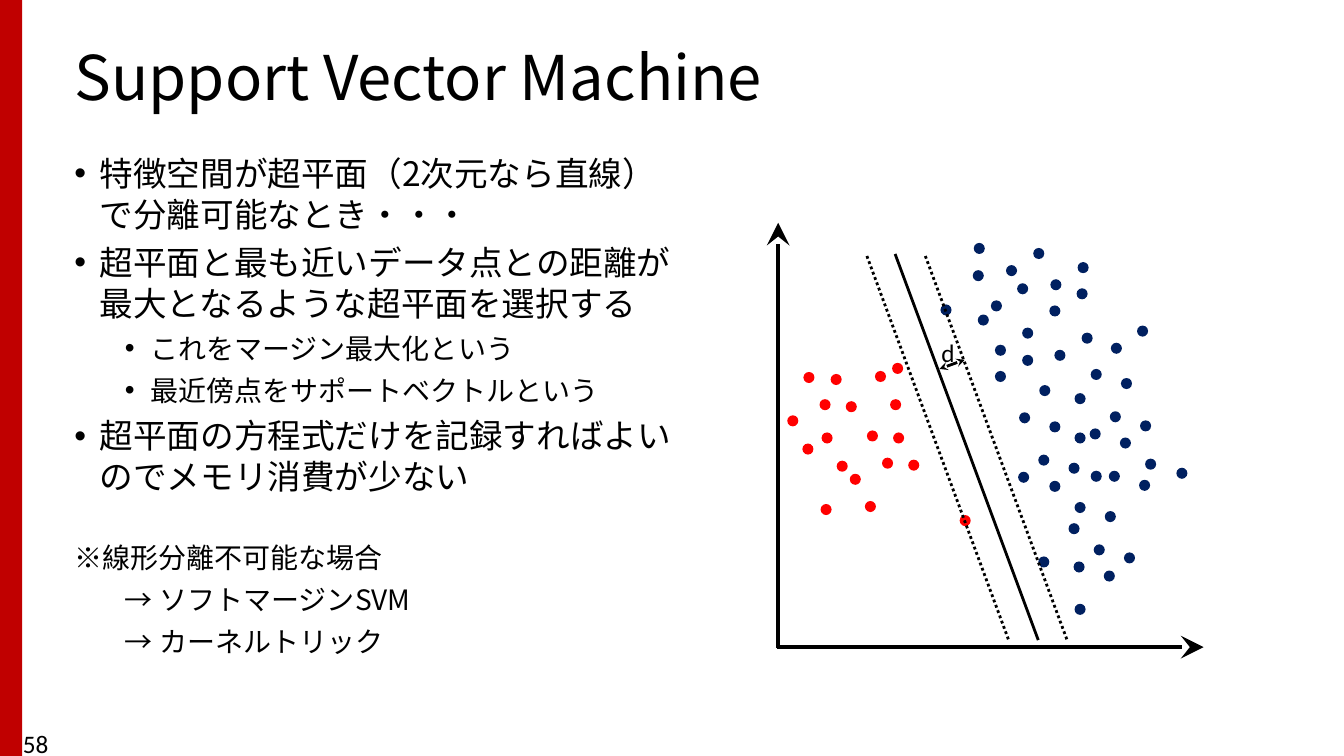
from lxml import etree
from pptx import Presentation
from pptx.dml.color import RGBColor
from pptx.enum.dml import MSO_LINE
from pptx.enum.shapes import MSO_CONNECTOR, MSO_SHAPE
from pptx.enum.text import MSO_ANCHOR, MSO_AUTO_SIZE, PP_ALIGN
from pptx.oxml.ns import qn
from pptx.util import Inches, Pt

OVAL, RECTANGLE = MSO_SHAPE.OVAL, MSO_SHAPE.RECTANGLE
STRAIGHT = MSO_CONNECTOR.STRAIGHT
DOTTED = MSO_LINE.ROUND_DOT
TOP, MIDDLE = MSO_ANCHOR.TOP, MSO_ANCHOR.MIDDLE
LEFT = PP_ALIGN.LEFT
NO_FIT = MSO_AUTO_SIZE.NONE

CELL = Inches(0.1)
COLUMNS, ROWS = 133.33, 75
COLORS = {"text": "000000", "bar": "C00000", "negative": "FF0000", "positive": "002060"}
JAPANESE, LATIN = "Noto Sans CJK JP", "Calibri"
DOT_SIZE = 1.1

POINTS = [
    ("特徴空間が超平面（2次元なら直線）で分離可能なとき・・・", 24, 0.25, True, 0),
    ("超平面と最も近いデータ点との距離が最大となるような超平面を選択する", 24, 0.25, True, 6),
    ("これをマージン最大化という", 20, 0.75, True, 6),
    ("最近傍点をサポートベクトルという", 20, 0.75, True, 6),
    ("超平面の方程式だけを記録すればよいのでメモリ消費が少ない", 24, 0.25, True, 6),
    ("※線形分離不可能な場合", 20, 0, False, 31.5),
    ("→ ソフトマージンSVM", 20, 0.5, False, 6),
    ("→ カーネルトリック", 20, 0.5, False, 6),
]

SAMPLES = {
    "negative": [
        (81.5, 42.9), (83, 45.7), (81.4, 50), (79.7, 36.9), (81.3, 39.6),
        (78.1, 41.2), (79.6, 44), (82.4, 37.1), (83.9, 39.8), (86, 42.7),
        (87.5, 45.4), (88.5, 36), (95.2, 51.1), (84.3, 47), (85.8, 49.7),
        (88.6, 42.9), (90.1, 45.6), (86.8, 36.8), (88.3, 39.6),
    ],
    "positive": [
        (106, 45.9), (103, 45.1), (106, 51.9), (104.1, 41.8), (101.1, 40.9),
        (104.1, 47.7), (101, 46.8), (111.5, 54.8), (108.5, 54), (109.6, 50.7),
        (106.6, 49.8), (109.5, 56.6), (106.5, 55.7), (103, 55.2), (106.6, 59.9),
        (93.3, 30.2), (96.6, 24.1), (100.9, 28.1), (98.3, 29.8), (96.5, 26.8),
        (106.9, 26), (104.2, 27.7), (102.5, 24.6), (99.8, 26.3), (106.8, 28.6),
        (104.1, 30.3), (101.4, 32.5), (98.7, 34.2), (106.6, 42.9), (103.1, 38.2),
        (97, 31.2), (101.4, 35.2), (98.7, 36.8), (107.3, 33), (104.6, 34.7),
        (113.1, 41.7), (110.1, 40.8), (113, 47.6), (110, 46.7), (111.2, 37.5),
        (108.2, 36.6), (111.1, 43.4), (108.1, 42.5), (116.7, 46.4), (113.6, 45.5),
        (108.2, 46.7), (112.8, 32.3), (110.2, 34), (106.6, 39),
    ],
}


class SlideBuilder:
    def __init__(self, slide):
        self.slide = slide

    def cells(self, *counts):
        return [round(count * CELL) for count in counts]

    def color(self, name):
        return RGBColor.from_string(COLORS[name])

    def run(self, paragraph, text, size, typeface):
        run = paragraph.add_run()
        run.text = text
        run.font.size = Pt(size)
        run.font.name = typeface
        run.font.color.rgb = self.color("text")
        east_asian = etree.SubElement(run.font._element, qn("a:ea"))
        east_asian.set("typeface", typeface)

    def title(self, text, column, row, width, height):
        heading = self.slide.shapes.title
        heading.left, heading.top, heading.width, heading.height = self.cells(
            column, row, width, height)
        frame = heading.text_frame
        frame.auto_size = NO_FIT
        frame.vertical_anchor = MIDDLE
        paragraph = frame.paragraphs[0]
        paragraph.alignment = LEFT
        paragraph.line_spacing = 0.9
        self.run(paragraph, text, 44, JAPANESE)

    def frame(self, column, row, width, height, wrap=True):
        box = self.slide.shapes.add_textbox(*self.cells(column, row, width, height))
        box.text_frame.word_wrap = wrap
        box.text_frame.vertical_anchor = TOP
        return box.text_frame

    def label(self, text, column, row, width, height, wrap=True):
        frame = self.frame(column, row, width, height, wrap)
        self.run(frame.paragraphs[0], text, 18, LATIN)

    def outline(self, points, column, row, width, height):
        frame = self.frame(column, row, width, height)
        for index, (text, size, margin, bulleted, before) in enumerate(points):
            paragraph = frame.add_paragraph() if index else frame.paragraphs[0]
            paragraph.space_before = Pt(before)
            properties = paragraph._p.get_or_add_pPr()
            properties.set("marL", str(Inches(margin)))
            properties.set("indent", str(Inches(-0.25 if bulleted else 0)))
            if bulleted:
                etree.SubElement(properties, qn("a:buFont")).set("typeface", "Arial")
                etree.SubElement(properties, qn("a:buChar")).set("char", "•")
            else:
                etree.SubElement(properties, qn("a:buNone"))
            self.run(paragraph, text, size, JAPANESE)

    def shape(self, kind, color, column, row, width, height):
        shape = self.slide.shapes.add_shape(kind, *self.cells(column, row, width, height))
        shape.shadow.inherit = False
        shape.fill.solid()
        shape.fill.fore_color.rgb = self.color(color)
        shape.line.fill.background()

    def line(self, start, end, width=2, dash=None, arrows=(), arrow_size="med"):
        connector = self.slide.shapes.add_connector(STRAIGHT, *self.cells(*start, *end))
        connector.line.color.rgb = self.color("text")
        connector.line.width = Pt(width)
        if dash:
            connector.line.dash_style = dash
        stroke = connector.line._get_or_add_ln()
        for arrow in arrows:
            head = etree.SubElement(stroke, qn(f"a:{arrow}"))
            head.set("type", "stealth")
            head.set("w", arrow_size)
            head.set("len", arrow_size)
        etree.SubElement(connector._element.spPr, qn("a:effectLst"))


def main():
    presentation = Presentation()
    presentation.slide_width = round(COLUMNS * CELL)
    presentation.slide_height = ROWS * CELL
    title_only = presentation.slide_layouts[5]
    page = SlideBuilder(presentation.slides.add_slide(title_only))

    page.shape(RECTANGLE, "bar", 0, 0, 2.2, ROWS)
    page.title("Support Vector Machine", 6.4, 4, 117.6, 8)
    page.outline(POINTS, 6.4, 14.7, 62.9, 60.3)

    for axis_start, axis_end in (((77.1, 64.2), (119.4, 64.2)), ((77.2, 64.3), (77.2, 22.1))):
        page.line(axis_start, axis_end, 3.25, arrows=("tailEnd",), arrow_size="lg")
    for group, samples in SAMPLES.items():
        for column, row in samples:
            page.shape(OVAL, group, column, row, DOT_SIZE, DOT_SIZE)

    page.line((93.2, 36.6), (95.7, 35.7), arrows=("headEnd", "tailEnd"))
    for margin_column in (86, 91.8):
        page.line((margin_column, 25.4), (margin_column + 14.1, 63.6), dash=DOTTED)
    page.line((88.8, 25.2), (103, 63.5))
    page.label("d", 92.4, 33, 3.4, 4, wrap=False)
    page.label("58", 1.3, 71.8, 30, 3.2)

    presentation.save("out.pptx")


if __name__ == "__main__":
    main()
